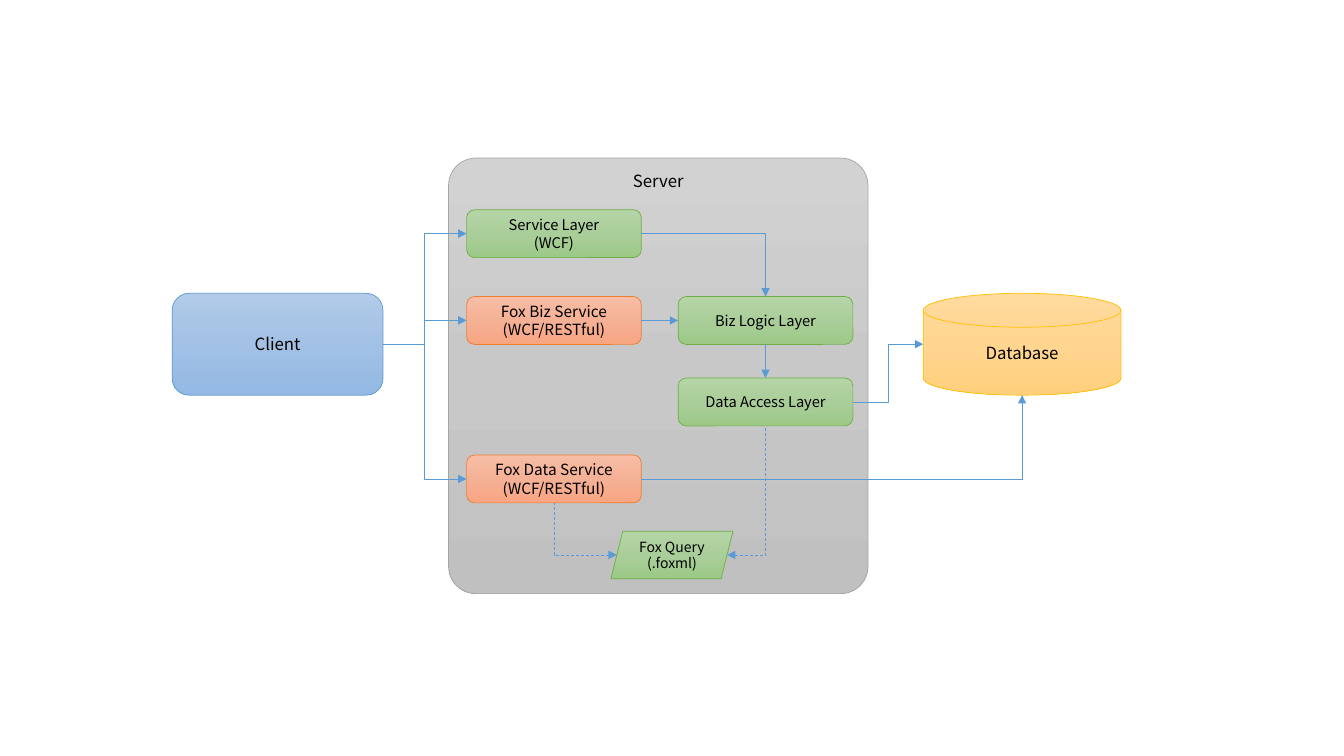
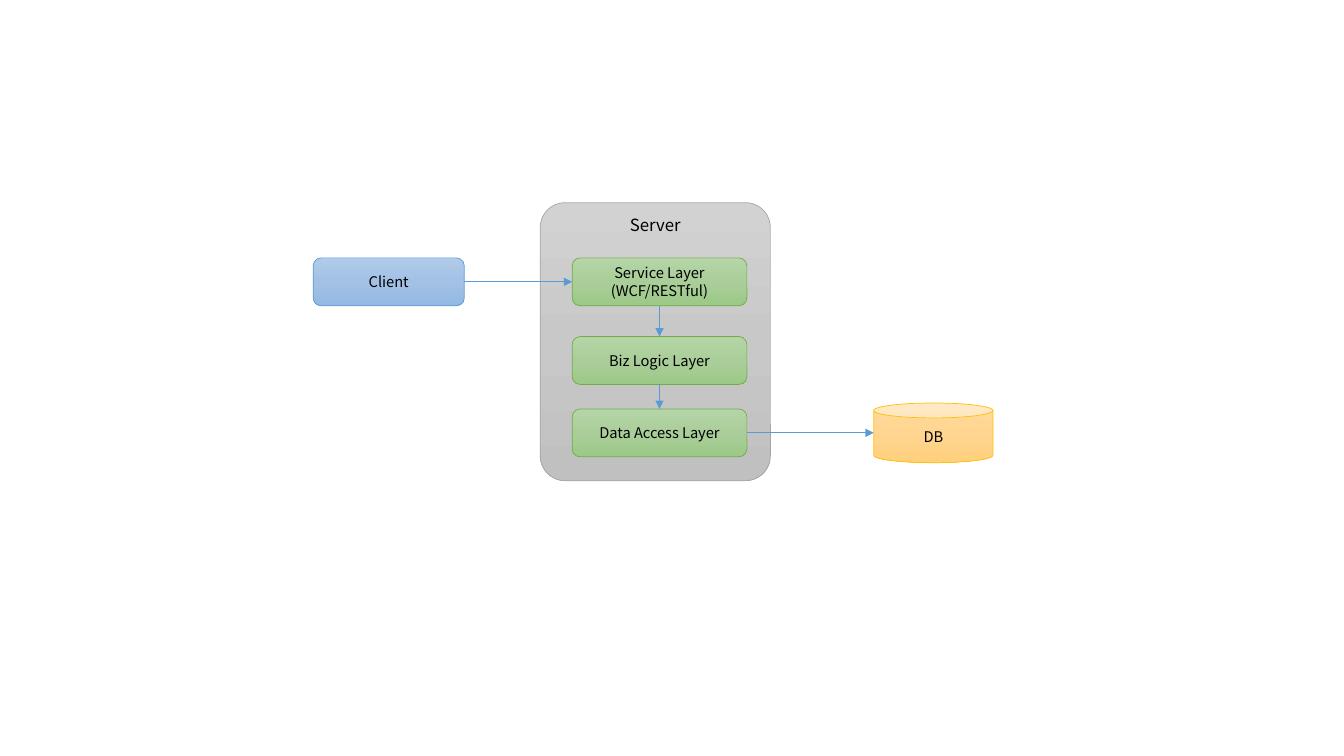
from copy import deepcopy
from dataclasses import dataclass
from pptx import Presentation
from pptx.dml.color import RGBColor
from pptx.enum import dml, shapes, text
from pptx.oxml.ns import qn
from pptx.oxml.xmlchemy import OxmlElement
from pptx.util import Pt

KIND = shapes.MSO_SHAPE
ROUND, QUERY = KIND.ROUNDED_RECTANGLE, KIND.PARALLELOGRAM
DISK, CAN = KIND.FLOWCHART_MAGNETIC_DISK, KIND.CAN


@dataclass(frozen=True)
class Theme:
    font: str = "Noto Sans CJK KR"
    ink: str = "000000"
    arrow: str = "5B9BD5"
    line: float = 0.5
    large: float = 12
    medium: float = 11
    body: float = 10.5
    small: float = 10


T = Theme()
PALETTE = {
    "blue": ("5B9BD5", ("B1CBE9", "A3C1E5", "93B9E4")),
    "gray": ("A5A5A5", ("D2D2D2", "C8C8C8", "C0C0C0")),
    "green": ("70AD47", ("B5D5A7", "AACE9A", "9CC987")),
    "orange": ("ED7D31", ("F7BDA5", "F5B196", "F8A582")),
    "gold": ("FFC000", ("FFDB9E", "FFD590", "FFD07C")),
}
LAYER = (124.8, 34.2)
LEFT, RIGHT, STACK = 333.3, 484.4, 408.7

SLIDES = [
    {
        "nodes": {
            "client": (ROUND, "blue", (123, 209.5), (150.6, 72.8), T.large, ["Client"]),
            "server": (ROUND, "gray", (320.4, 112.9), (299.6, 311.1), T.large, ["Server"]),
            "data service": (ROUND, "orange", (LEFT, 325), LAYER, T.medium,
                             ["Fox Data Service", "(WCF/RESTful)"]),
            "database": (DISK, "gold", (659.5, 209.5), (141.2, 72.8), T.large, ["Database"]),
            "service": (ROUND, "green", (LEFT, 149.8), LAYER, T.body, ["Service Layer\v(WCF)"]),
            "logic": (ROUND, "green", (RIGHT, 211.8), LAYER, T.body, ["Biz Logic Layer"]),
            "access": (ROUND, "green", (RIGHT, 270), LAYER, T.body, ["Data Access Layer"]),
            "biz service": (ROUND, "orange", (LEFT, 211.8), LAYER, T.medium,
                            ["Fox Biz Service", "(WCF/RESTful)"]),
            "query": (QUERY, "green", (436.4, 379.4), (87.2, 34), T.small,
                      ["Fox Query", "(.foxml)"]),
        },
        "corner": 0.065,
        "links": [
            ("service", "right", "logic", "top", "corner"),
            ("biz service", "right", "logic", "left", "straight"),
            ("logic", "bottom", "access", "top", "straight"),
            ("client", "right", "service", "left", "step"),
            ("client", "right", "biz service", "left", "step"),
            ("client", "right", "data service", "left", "step"),
            ("data service", "right", "database", "bottom", "corner"),
            ("access", "right", "database", "left", "step"),
            ("query", "left", "data service", "bottom", "reference"),
            ("query", "right", "access", "bottom", "reference"),
        ],
    },
    {
        "nodes": {
            "server": (ROUND, "gray", (385.9, 144.8), (164.4, 198.6), T.large, ["Server"]),
            "client": (ROUND, "blue", (223.7, 184.2), (108, 34.2), T.body, ["Client"]),
            "service": (ROUND, "green", (STACK, 184.2), LAYER, T.body,
                        ["Service Layer\v(WCF/RESTful)"]),
            "logic": (ROUND, "green", (STACK, 240.4), LAYER, T.body, ["Biz Logic Layer"]),
            "access": (ROUND, "green", (STACK, 292.1), LAYER, T.body, ["Data Access Layer"]),
            "database": (CAN, "gold", (624.1, 287.9), (85.2, 42.6), T.body, ["DB"]),
        },
        "corner": 0.108,
        "links": [
            ("client", "right", "service", "left", "straight"),
            ("service", "bottom", "logic", "top", "straight"),
            ("logic", "bottom", "access", "top", "straight"),
            ("access", "right", "database", "left", "straight"),
        ],
    },
]

SIDES = {"top": (0.5, 0), "left": (0, 0.5), "bottom": (0.5, 1), "right": (1, 0.5)}
BOX_SITES = {"top": 0, "left": 1, "bottom": 2, "right": 3}
DISK_SITES = {"left": 2, "bottom": 3}
SITES = {ROUND: BOX_SITES, DISK: DISK_SITES, CAN: DISK_SITES}


def rgb(value):
    return RGBColor.from_string(value)


def paint(sp, style):
    border, colors = PALETTE[style]
    sp.shadow.inherit = False
    sp.line.color.rgb = rgb(border)
    sp.line.width = Pt(T.line)
    sp.fill.gradient()
    sp.fill.gradient_angle = 270
    stops = sp._element.spPr.find(qn("a:gradFill")).find(qn("a:gsLst"))
    stops.append(deepcopy(stops[0]))
    for i, (stop, color) in enumerate(zip(sp.fill.gradient_stops, colors)):
        stop.position = i / 2
        stop.color.rgb = rgb(color)


def write(tf, paragraphs, size, anchor):
    tf.word_wrap = True
    tf.vertical_anchor = anchor
    for i, content in enumerate(paragraphs):
        p = tf.add_paragraph() if i else tf.paragraphs[0]
        p.alignment = text.PP_ALIGN.CENTER
        for j, part in enumerate(content.split("\v")):
            if j:
                p.add_line_break()
            r = p.add_run()
            r.text = part
            r.font.name, r.font.size = T.font, Pt(size)
            r.font.color.rgb = rgb(T.ink)


def add_node(s, node, corner):
    kind, style, at, extent, size, paragraphs = node
    sp = s.shapes.add_shape(kind, *(Pt(v) for v in at + extent))
    paint(sp, style)
    container = style == "gray"
    if container:
        sp.adjustments[0] = corner
    anchor = text.MSO_ANCHOR.TOP if container else text.MSO_ANCHOR.MIDDLE
    write(sp.text_frame, paragraphs, size, anchor)
    return sp


def site(sp, side):
    fx, fy = SIDES[side]
    inset = 0
    if sp.auto_shape_type == QUERY:
        inset = sp.adjustments[0] * min(sp.width, sp.height) / 2 * (1 - 2 * fx)
    return int(sp.left + fx * sp.width + inset), int(sp.top + fy * sp.height)


def add_link(s, source, source_side, target, target_side, route):
    straight, reference = route == "straight", route == "reference"
    kind = shapes.MSO_CONNECTOR.STRAIGHT if straight else shapes.MSO_CONNECTOR.ELBOW
    begin, end = site(source, source_side), site(target, target_side)
    c = s.shapes.add_connector(kind, *begin, *end)
    if not reference:
        c.begin_connect(source, SITES[source.auto_shape_type][source_side])
        c.end_connect(target, SITES[target.auto_shape_type][target_side])
        c.begin_x, c.begin_y = begin
        c.end_x, c.end_y = end
    c.line.color.rgb = rgb(T.arrow)
    c.line.width = Pt(T.line)
    if reference:
        c.line.dash_style = dml.MSO_LINE.DASH
    spPr = c._element.spPr
    if route in ("corner", "reference"):
        spPr.find(qn("a:prstGeom")).set("prst", "bentConnector2")
    arrow = OxmlElement("a:headEnd" if reference else "a:tailEnd")
    arrow.set("type", "triangle")
    spPr.find(qn("a:ln")).append(arrow)
    spPr.append(OxmlElement("a:effectLst"))


prs = Presentation()
prs.slide_width, prs.slide_height = Pt(960), Pt(540)
for content in SLIDES:
    s = prs.slides.add_slide(prs.slide_layouts[6])
    placed = {name: add_node(s, node, content["corner"])
              for name, node in content["nodes"].items()}
    for source, source_side, target, target_side, route in content["links"]:
        add_link(s, placed[source], source_side, placed[target], target_side, route)
prs.save("out.pptx")
